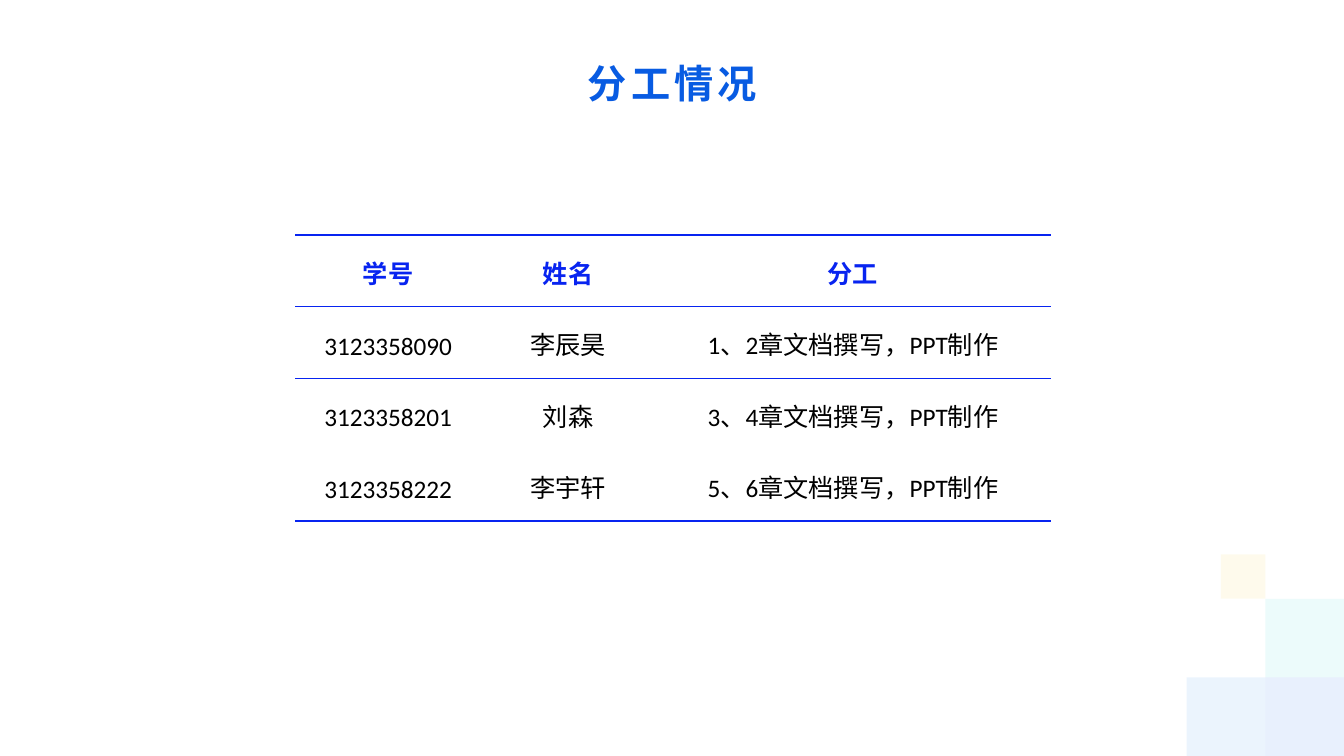
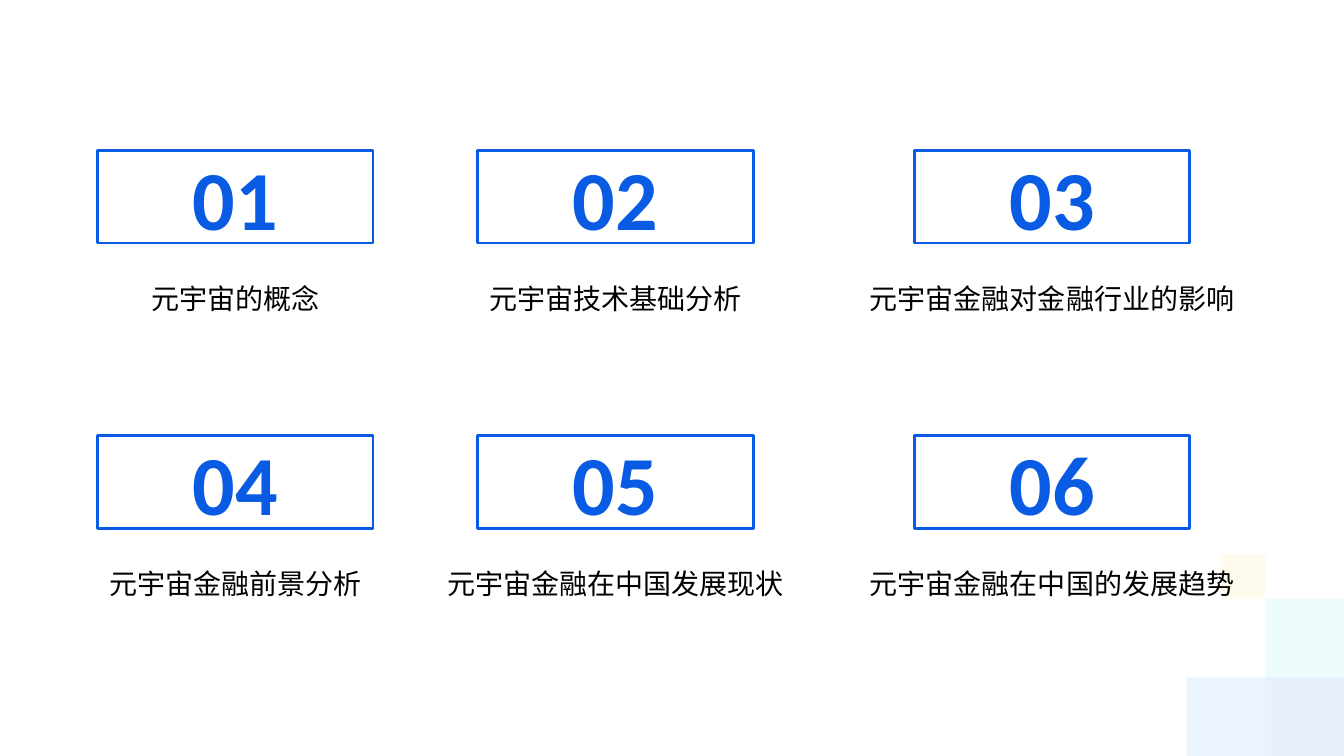
import pptx
import pptx.util
import pptx.dml.color
import pptx.enum.shapes
import pptx.enum.text
import pptx.oxml
import pptx.oxml.ns
from pptx.util import Inches

BLUE = "085BE2"
RULE = "0824F0"
BLACK = "000000"
LATIN = "Calibri"
HAN = "Noto Sans CJK SC"
WIDE, HIGH = 13.33, 7.5
UNIT = 0.78
SMALL = 0.44
# left, top, side, colour
TILES = [
    (WIDE - UNIT, HIGH - UNIT, UNIT, "085FEF"),
    (WIDE - UNIT, HIGH - 2 * UNIT, UNIT, "31D4D3"),
    (WIDE - 2 * UNIT, HIGH - UNIT, UNIT, "238AF3"),
    (WIDE - UNIT - SMALL, HIGH - 2 * UNIT - SMALL, SMALL, "FBCF37"),
]
SHAPE = pptx.enum.shapes.MSO_SHAPE
ALIGN = pptx.enum.text.PP_ALIGN
ANCHOR = pptx.enum.text.MSO_ANCHOR
qn = pptx.oxml.ns.qn


def color(text):
    return pptx.dml.color.RGBColor.from_string(text)


def node(xml):
    """Parse one element of the drawing namespace."""
    space = pptx.oxml.ns.nsdecls("a")
    return pptx.oxml.parse_xml(xml.replace(" ", f" {space} ", 1))


def edge(side, width):
    """Make a cell border; a width of 0 gives none."""
    fill = f'<a:solidFill><a:srgbClr val="{RULE}"/></a:solidFill>' if width else "<a:noFill/>"
    return node(f'<a:ln{side} w="{int(width * 12700)}">{fill}</a:ln{side}>')


class Deck:
    def __init__(self):
        self.show = pptx.Presentation()
        self.show.slide_width = Inches(WIDE)
        self.show.slide_height = Inches(HIGH)
        self.slide = None

    def page(self):
        """Start a slide with the corner tiles."""
        self.slide = self.show.slides.add_slide(self.show.slide_layouts[6])
        for left, top, side, tint in TILES:
            tile = self.shape(SHAPE.RECTANGLE, left, top, side, side)
            tile.fill.solid()
            tile.fill.fore_color.rgb = color(tint)
            tile.line.fill.background()
            tone = tile.fill._xPr.find(".//" + qn("a:srgbClr"))
            tone.append(node('<a:alpha val="9000"/>'))

    def shape(self, kind, left, top, width, height):
        shape = self.slide.shapes.add_shape(
            kind, Inches(left), Inches(top), Inches(width), Inches(height))
        shape.shadow.inherit = False
        return shape

    def label(self, frame, text, size, tint, bold=False, face=LATIN, space=0):
        """Fill a text frame with one centred paragraph."""
        para = frame.paragraphs[0]
        para.text = text
        para.alignment = ALIGN.CENTER
        font = para.font
        font.size = pptx.util.Pt(size)
        font.bold = bold
        font.name = face
        font.color.rgb = color(tint)
        props = para._p.pPr.find(qn("a:defRPr"))
        props.append(node(f'<a:ea typeface="{HAN}"/>'))
        if space:
            props.set("spc", str(space * 100))
        return para

    def box(self, left, top, width, height):
        box = self.slide.shapes.add_textbox(
            Inches(left), Inches(top), Inches(width), Inches(height))
        return box.text_frame

    def title(self, text):
        frame = self.box(3.88, 0.59, 5.58, 0.52)
        frame.word_wrap = True
        frame.margin_left = frame.margin_right = 0
        frame.margin_top = frame.margin_bottom = 0
        self.label(frame, text, 28, BLUE, True, HAN, 3)

    def table(self, left, top, cols, high, rows, rules):
        """Draw a table; rules holds the line widths from top to bottom."""
        grid = self.slide.shapes.add_table(
            len(rows), len(cols), Inches(left), Inches(top),
            Inches(sum(cols)), Inches(high * len(rows))).table
        grid.first_row = grid.horz_banding = False
        for col, width in zip(grid.columns, cols):
            col.width = Inches(width)
        for i, row in enumerate(rows):
            grid.rows[i].height = Inches(high)
            for j, text in enumerate(row):
                self.cell(grid.cell(i, j), text, i == 0, rules[i:i + 2])

    def cell(self, cell, text, head, rules):
        cell.vertical_anchor = ANCHOR.MIDDLE
        cell.margin_left = cell.margin_right = Inches(0.07)
        cell.margin_top = cell.margin_bottom = 0
        for side, width in zip("LRTB", [0, 0, *rules]):
            cell._tc.get_or_add_tcPr().append(edge(side, width))
        cell.fill.background()
        para = self.label(cell.text_frame, text, 18, RULE if head else BLACK, head)
        para.line_spacing = pptx.util.Pt(28)

    def card(self, left, top, number, topic):
        """Draw a framed number with its topic centred below."""
        width = 2.73
        card = self.shape(SHAPE.ROUNDED_RECTANGLE, left, top, width, 0.92)
        card.adjustments[0] = 0
        card.fill.background()
        card.line.color.rgb = color(BLUE)
        card.line.width = pptx.util.Pt(2)
        card.text_frame.vertical_anchor = ANCHOR.MIDDLE
        self.label(card.text_frame, number, 60, BLUE, True)
        span = 0.2 + 0.28 * len(topic)
        frame = self.box(left + (width - span) / 2, top + 1.25, span, 0.44)
        frame.word_wrap = False
        self.label(frame, topic, 20, BLACK)


def main():
    deck = Deck()
    deck.page()
    deck.title("分工情况")
    deck.table(2.93, 2.33, [1.84, 1.73, 3.92], 0.71, [
        ("学号", "姓名", "分工"),
        ("3123358090", "李辰昊", "1、2章文档撰写，PPT制作"),
        ("3123358201", "刘森", "3、4章文档撰写，PPT制作"),
        ("3123358222", "李宇轩", "5、6章文档撰写，PPT制作"),
    ], [1.5, 0.5, 0.5, 0, 1.5])

    deck.page()
    lefts = [0.97, 4.74, 9.07]
    tops = [1.49, 4.32]
    topics = ["元宇宙的概念", "元宇宙技术基础分析", "元宇宙金融对金融行业的影响",
              "元宇宙金融前景分析", "元宇宙金融在中国发展现状", "元宇宙金融在中国的发展趋势"]
    for i, topic in enumerate(topics):
        row, col = divmod(i, len(lefts))
        deck.card(lefts[col], tops[row], f"{i + 1:02}", topic)

    deck.show.save("out.pptx")


if __name__ == "__main__":
    main()
